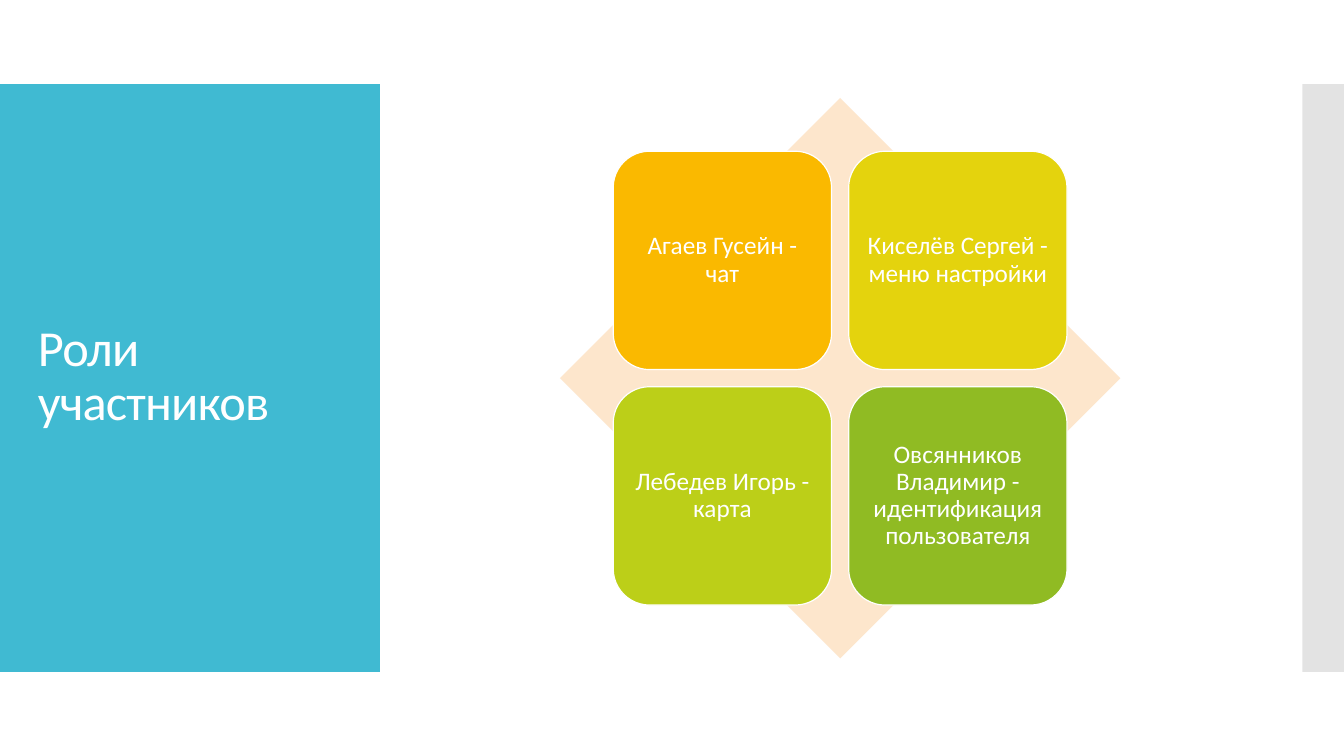
import pptx
import pptx.dml.color
import pptx.enum.shapes
import pptx.enum.text
import pptx.oxml
import pptx.oxml.ns
import pptx.util

Pt = pptx.util.Pt
SHAPES = pptx.enum.shapes.MSO_SHAPE
ALIGN = pptx.enum.text.PP_ALIGN

COLOURS = {
    "white": "FFFFFF",
    "panel": "40BAD2",
    "edge": "C8C8C8",
    "diamond": "FDE6CC",
    "chat": "FAB900",
    "settings": "E4D30D",
    "map": "BCCF18",
    "identification": "90BB23",
}
ROLES = [
    ("Агаев Гусейн - чат", "chat"),
    ("Киселёв Сергей - меню настройки", "settings"),
    ("Лебедев Игорь - карта", "map"),
    ("Овсянников Владимир - идентификация пользователя", "identification"),
]
TILE_LEFT, TILE_TOP, TILE_SIZE, TILE_STEP = 438, 108, 156, 168.2


def colour(name):
    """Return the named colour of the palette."""
    return pptx.dml.color.RGBColor.from_string(COLOURS[name])


def write_text(shape, text, size, align=ALIGN.LEFT, inset=(7.2, 3.6), spacing=None, space_after=0):
    """Write one vertically centred white paragraph into a shape."""
    frame = shape.text_frame
    frame.word_wrap = True
    frame.vertical_anchor = pptx.enum.text.MSO_ANCHOR.MIDDLE
    frame.margin_left = frame.margin_right = Pt(inset[0])
    frame.margin_top = frame.margin_bottom = Pt(inset[1])
    paragraph = frame.paragraphs[0]
    paragraph.alignment = align
    paragraph.line_spacing = 0.9
    paragraph.space_after = Pt(space_after)
    run = paragraph.add_run()
    run.text = text
    run.font.name = "Calibri"
    run.font.size = Pt(size)
    run.font.color.rgb = colour("white")
    if spacing is not None:
        run.font._element.set("spc", str(round(spacing * 100)))


class RolesSlide:
    """Hold the slide and draw its elements in one style."""

    def __init__(self, slide):
        """Keep the slide to draw on."""
        self.slide = slide

    def block(self, kind, left, top, width, height, fill, outline=None, opacity=None):
        """Add a filled preset shape."""
        shape = self.slide.shapes.add_shape(kind, Pt(left), Pt(top), Pt(width), Pt(height))
        shape.shadow.inherit = False
        shape.fill.solid()
        shape.fill.fore_color.rgb = colour(fill)
        if outline:
            shape.line.color.rgb = colour(outline)
            shape.line.width = Pt(0.85)
        else:
            shape.line.fill.background()
        if opacity is not None:
            value = shape._element.spPr.find(".//" + pptx.oxml.ns.qn("a:srgbClr"))
            alpha = pptx.oxml.parse_xml(
                f'<a:alpha {pptx.oxml.ns.nsdecls("a")} val="{opacity * 1000}"/>'
            )
            value.append(alpha)
        return shape

    def title(self, text, left, top, width, height):
        """Add the slide heading."""
        box = self.slide.shapes.add_textbox(Pt(left), Pt(top), Pt(width), Pt(height))
        write_text(box, text, 36, spacing=-0.6)

    def role_tile(self, text, left, top, fill):
        """Add a rounded tile with a participant and a role."""
        tile = self.block(
            SHAPES.ROUNDED_RECTANGLE, left, top, TILE_SIZE, TILE_SIZE, fill, outline="white"
        )
        write_text(tile, text, 18, align=ALIGN.CENTER, inset=(5.4, 5.4), space_after=6.3)


def main():
    """Build and save the presentation."""
    presentation = pptx.Presentation()
    presentation.slide_width, presentation.slide_height = Pt(960), Pt(540)
    roles = RolesSlide(presentation.slides.add_slide(presentation.slide_layouts[6]))
    roles.block(SHAPES.RECTANGLE, 0, 60, 271.3, 420, "panel")
    roles.block(SHAPES.RECTANGLE, 930.3, 60, 29.7, 420, "edge", opacity=50)
    roles.title("Роли участников", 20, 88.5, 232, 362)
    roles.block(SHAPES.DIAMOND, 400, 70, 400.3, 400.3, "diamond")
    for index, (text, fill) in enumerate(ROLES):
        row, column = divmod(index, 2)
        roles.role_tile(text, TILE_LEFT + column * TILE_STEP, TILE_TOP + row * TILE_STEP, fill)
    presentation.save("out.pptx")


if __name__ == "__main__":
    main()
